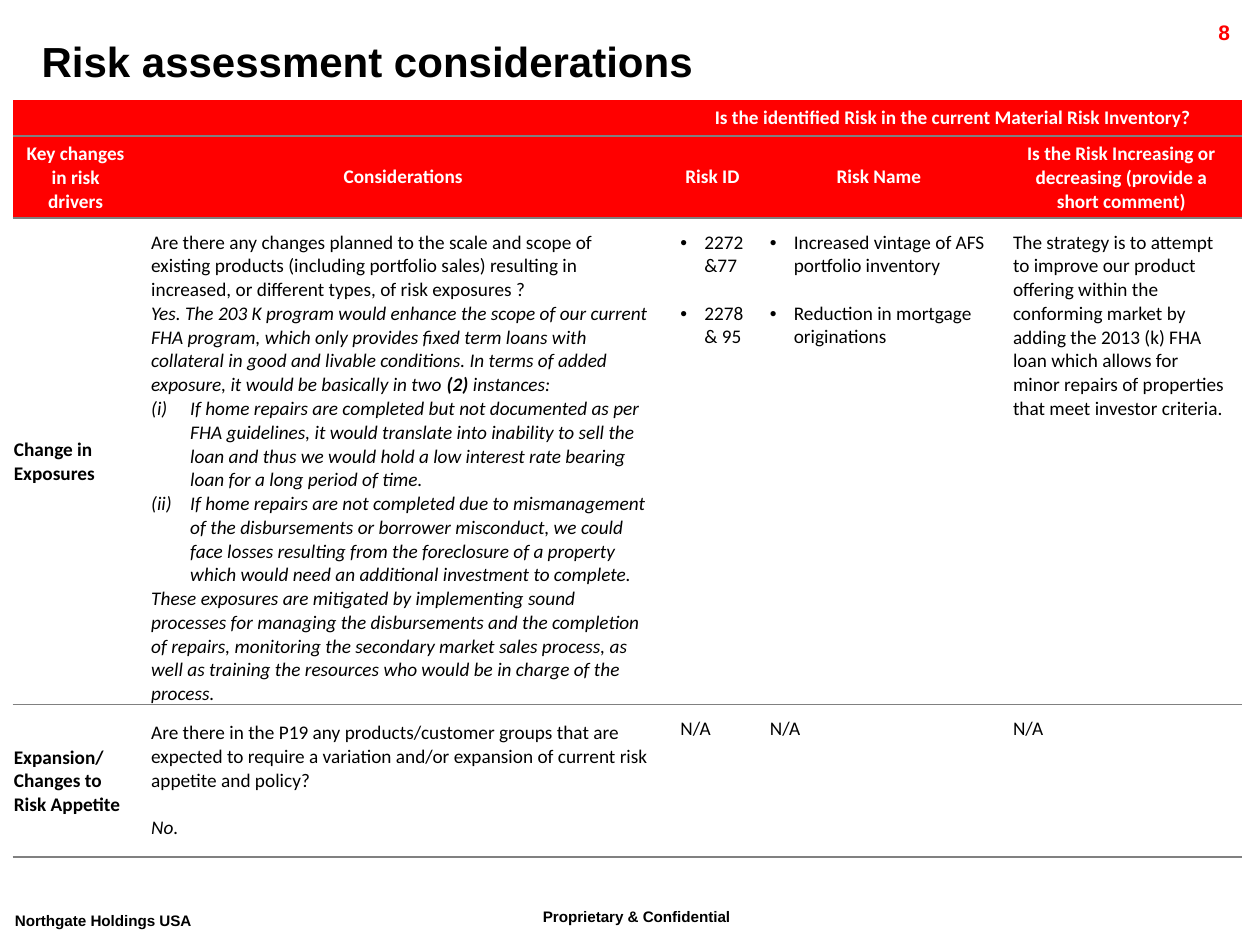
from lxml import etree
from pptx import Presentation
from pptx.dml.color import RGBColor
from pptx.enum.text import MSO_ANCHOR, PP_ALIGN
from pptx.oxml.ns import qn
from pptx.util import Inches, Pt

MIDDLE, TOP = MSO_ANCHOR.MIDDLE, MSO_ANCHOR.TOP
LEFT, CENTER, RIGHT = PP_ALIGN.LEFT, PP_ALIGN.CENTER, PP_ALIGN.RIGHT

THEME = {
    "red": "FF0000", "white": "FFFFFF", "black": "000000", "rule": "808080",
    "head": "Arial", "body": "Calibri",
    "title": 24, "foot": 15, "page": 12, "cell": 11, "gap": 13.4,
}
PLAIN_GRID = "{2D5ABB26-0587-4C30-8999-92F81FD0307C}"

TITLE = ("Risk assessment considerations", (0.23, 0.23, 9.5, 0.5))
# text, box, size, colour, alignment, raised, wraps
LABELS = [
    ("Proprietary & Confidential", (4.21, 7.13, 2.18, 0.35), "foot", "black", LEFT, True, True),
    ("Northgate Holdings USA", (0.02, 7.16, 1.91, 0.35), "foot", "black", LEFT, True, False),
    ("8", (8.91, 0.11, 0.95, 0.24), "page", "red", RIGHT, False, True),
]

GRID_AT = (0.1, 0.79)
COLS = [1, 4.2, 0.71, 1.93, 1.92]
ROWS = [0.29, 0.65, 3.86, 1.21]
BANNER = "Is the identified Risk in the current Material Risk Inventory? "
HEADS = ["Key changes in risk drivers", "Considerations", "Risk ID", "Risk Name",
         "Is the Risk Increasing or decreasing (provide a short comment)"]


def para(*runs, mark=None, gap=False):
    """One paragraph: runs of (text, style letters), list mark, gap above."""
    return {"runs": runs, "mark": mark, "gap": gap}


def dots(first, second):
    return [para((first, ""), mark="dot"), para((second, ""), mark="dot", gap=True)]


NONE = [para(("N/A", ""))]
BODY = [
    [
        [para(("Change in Exposures", "b"))],
        [
            para(("Are there any changes planned to the scale and scope of existing products "
                  "(including portfolio sales) resulting in increased, or different types, "
                  "of risk exposures ?", "")),
            para(("Yes. The 203 K program would enhance the scope of our current FHA program, "
                  "which only provides fixed term loans with collateral in good and livable "
                  "conditions. In terms of added exposure, it would be basically in two", "i"),
                 (" (2) ", "bi"), ("instances:", "i")),
            para(("If home repairs are completed but not documented as per FHA guidelines, "
                  "it would translate into inability to sell the loan and thus we would hold "
                  "a low interest rate bearing loan for a long period of time.", "i"),
                 mark="roman"),
            para(("If home repairs are not completed due to mismanagement of the disbursements "
                  "or borrower misconduct, we could face losses resulting from the foreclosure "
                  "of a property which would need an additional investment to complete.", "i"),
                 mark="roman"),
            para(("These exposures are mitigated by implementing sound processes for managing "
                  "the disbursements and the completion of repairs, monitoring the secondary "
                  "market sales process, as well as training the resources who would be in "
                  "charge of the process.", "i")),
        ],
        dots("2272 &77", "2278 & 95"),
        dots("Increased vintage of AFS portfolio inventory",
             "Reduction in mortgage originations"),
        [para(("The strategy is to attempt to improve our product offering within the "
               "conforming market by adding the 2013 (k) FHA loan which allows for minor "
               "repairs of properties that meet investor criteria.", ""))],
    ],
    [
        [para(("Expansion/ Changes to Risk Appetite", "b"))],
        [
            para(("Are there in the P19 any products/customer groups that are expected to "
                  "require a variation and/or expansion of current risk appetite and "
                  "policy?", "")),
            para(("No.", "i"), gap=True),
        ],
        NONE, NONE, NONE,
    ],
]
MARKS = {
    "dot": (0.19, [("a:buFont", {"typeface": "Arial"}), ("a:buChar", {"char": "•"})]),
    "roman": (0.31, [("a:buAutoNum", {"type": "romanLcParenBoth"})]),
}


def rgb(name):
    return RGBColor.from_string(THEME[name])


def style(font, face, size, color, letters=""):
    form = {"name": THEME[face], "size": Pt(THEME[size]),
            "bold": "b" in letters, "italic": "i" in letters}
    for key, value in form.items():
        setattr(font, key, value)
    font.color.rgb = rgb(color)


def set_mark(item, mark):
    indent, tags = MARKS[mark]
    props = item._p.get_or_add_pPr()
    props.set("marL", str(Inches(indent)))
    props.set("indent", str(-Inches(indent)))
    for tag, values in tags:
        etree.SubElement(props, qn(tag), values)


def write(frame, paras, color="black", align=LEFT):
    for n, data in enumerate(paras):
        item = frame.add_paragraph() if n else frame.paragraphs[0]
        item.alignment = align
        if data["gap"]:
            item.space_before = Pt(THEME["gap"])
        if data["mark"]:
            set_mark(item, data["mark"])
        for text, letters in data["runs"]:
            run = item.add_run()
            run.text = text
            style(run.font, "body", "cell", color, letters)


def paint(cell, color, edges):
    """Fill a cell and rule the given edges."""
    cell.fill.solid()
    cell.fill.fore_color.rgb = rgb(color)
    for n, edge in enumerate(edges):
        line = etree.Element(qn(edge), {"w": str(Pt(1))})
        fill = etree.SubElement(line, qn("a:solidFill"))
        etree.SubElement(fill, qn("a:srgbClr"), {"val": THEME["rule"]})
        cell._tc.get_or_add_tcPr().insert(n, line)


def shrink(cell):
    """Keep an empty cell from stretching its row."""
    item = cell.text_frame.paragraphs[0]._p
    etree.SubElement(item, qn("a:endParaRPr"), {"sz": str(THEME["cell"] * 100)})


def pad(cell, left, top, right, bottom):
    sides = {"left": left, "top": top, "right": right, "bottom": bottom}
    for side, value in sides.items():
        setattr(cell, "margin_" + side, Inches(value))


def add_title(slide):
    text, box = TITLE
    title = slide.shapes.title
    title.left, title.top, title.width, title.height = map(Inches, box)
    frame = title.text_frame
    frame.text = text
    frame.vertical_anchor = MIDDLE
    frame.paragraphs[0].alignment = LEFT
    style(frame.paragraphs[0].runs[0].font, "head", "title", "black", "b")


def add_label(slide, text, box, size, color, align, raised, wraps):
    frame = slide.shapes.add_textbox(*map(Inches, box)).text_frame
    frame.word_wrap = wraps
    item = frame.paragraphs[0]
    item.alignment = align
    run = item.add_run()
    run.text = text
    style(run.font, "head", size, color, "b")
    if raised:
        run._r.get_or_add_rPr().set("baseline", "30000")


def add_grid(slide):
    area = (*GRID_AT, sum(COLS), sum(ROWS))
    grid = slide.shapes.add_table(len(ROWS), len(COLS), *map(Inches, area)).table
    grid.first_row = grid.horz_banding = False
    grid._tbl.tblPr.find(qn("a:tableStyleId")).text = PLAIN_GRID
    for col, width in zip(grid.columns, COLS):
        col.width = Inches(width)
    for row, height in zip(grid.rows, ROWS):
        row.height = Inches(height)

    for r in range(len(ROWS)):
        for c in range(len(COLS)):
            edges = ["a:lnT", "a:lnB"] if r else ["a:lnB"]
            paint(grid.cell(r, c), "red" if r < 2 else "white", edges)
    grid.cell(0, 0).merge(grid.cell(0, 1))
    grid.cell(0, 2).merge(grid.cell(0, 4))
    for c in (0, 1, 3, 4):
        shrink(grid.cell(0, c))
    heads = [(0, 2, BANNER)] + [(1, c, text) for c, text in enumerate(HEADS)]
    for r, c, text in heads:
        cell = grid.cell(r, c)
        cell.vertical_anchor = MIDDLE
        write(cell.text_frame, [para((text, "b"))], "white", CENTER)
    for r, line in enumerate(BODY, 2):
        for c, paras in enumerate(line):
            cell = grid.cell(r, c)
            cell.vertical_anchor = MIDDLE if c < 2 else TOP
            pad(cell, *((0.1, 0.1, 0.1, 0.02 if r == 2 else 0.1) if c
                        else (0.01, 0.01, 0.01, 0)))
            write(cell.text_frame, paras)


def main():
    deck = Presentation()
    deck.slide_width, deck.slide_height = Inches(10), Inches(7.5)
    slide = deck.slides.add_slide(deck.slide_layouts[5])
    for label in LABELS:
        add_label(slide, *label)
    add_title(slide)
    add_grid(slide)
    deck.save("out.pptx")


if __name__ == "__main__":
    main()
